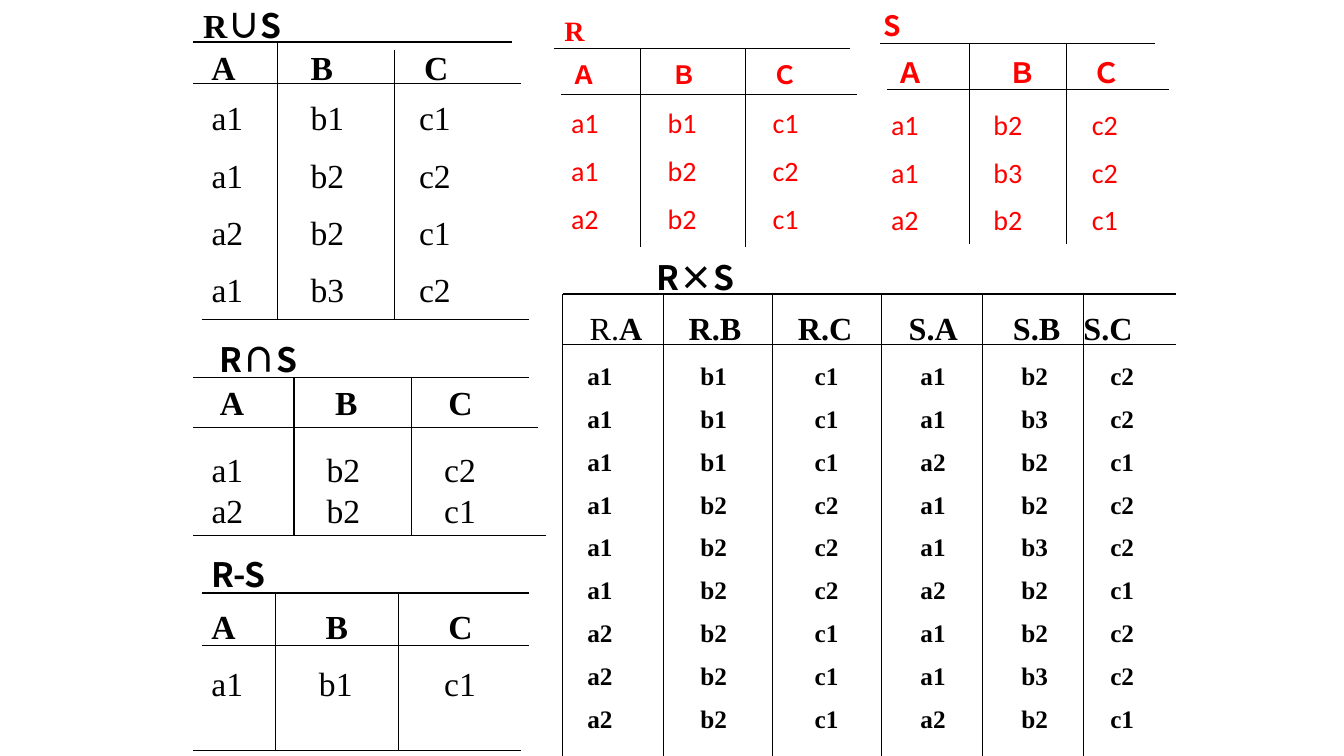
from itertools import product

from lxml.etree import SubElement
from pptx import Presentation
from pptx.dml.color import RGBColor
from pptx.enum.shapes import MSO_CONNECTOR
from pptx.enum.text import MSO_AUTO_SIZE
from pptx.oxml.ns import qn
from pptx.util import Inches, Pt

BLACK, RED = RGBColor(0, 0, 0), RGBColor(255, 0, 0)
SERIF, SANS, CJK = "Times New Roman", "Calibri", "Noto Sans CJK SC"
THEME = {
    "title": {"name": CJK, "size": Pt(24), "bold": True, "color": BLACK},
    "head": {"name": SERIF, "size": Pt(24), "bold": True, "color": BLACK},
    "body": {"name": SERIF, "size": Pt(24), "bold": False, "color": BLACK},
    "prefix": {"name": SERIF, "size": Pt(23), "bold": False, "color": BLACK},
    "product head": {"name": SERIF, "size": Pt(23), "bold": True, "color": BLACK},
    "product body": {"name": SERIF, "size": Pt(18), "bold": True, "color": BLACK},
    "red R": {"name": SERIF, "size": Pt(20), "bold": True, "color": RED},
    "red S": {"name": CJK, "size": Pt(20), "bold": True, "color": RED},
    "red head R": {"name": SERIF, "size": Pt(18), "bold": True, "color": RED},
    "red head S": {"name": SERIF, "size": Pt(20), "bold": True, "color": RED},
    "red body": {"name": SANS, "size": Pt(20), "bold": False, "color": RED},
}
RULE_WIDTH = Pt(0.75)

deck = Presentation()
deck.slide_width, deck.slide_height = Inches(13.333), Inches(7.5)
page = deck.slides.add_slide(deck.slide_layouts[6])
COLUMN, ROW = deck.slide_width / 160, deck.slide_height / 90


def add_rule(x1, y1, x2, y2):
    rule = page.shapes.add_connector(
        MSO_CONNECTOR.STRAIGHT,
        round(x1 * COLUMN), round(y1 * ROW), round(x2 * COLUMN), round(y2 * ROW))
    rule.line.width = RULE_WIDTH
    rule.line.color.rgb = BLACK
    SubElement(rule.element.spPr, qn("a:effectLst"))


def add_text(place, paragraphs, gap=50):
    left, top, width, height = place
    box = page.shapes.add_textbox(
        round(left * COLUMN), round(top * ROW), round(width * COLUMN), round(height * ROW))
    frame = box.text_frame
    frame.word_wrap = True
    frame.auto_size = MSO_AUTO_SIZE.SHAPE_TO_FIT_TEXT
    for index, (tabs, spans) in enumerate(paragraphs):
        para = frame.add_paragraph() if index else frame.paragraphs[0]
        settings = para._p.get_or_add_pPr()
        before = SubElement(settings, qn("a:spcBef"))
        SubElement(before, qn("a:spcPct"), val=str(gap * 1000))
        if tabs:
            stops = SubElement(settings, qn("a:tabLst"))
            for tab in tabs:
                SubElement(stops, qn("a:tab"), pos=str(round(tab * COLUMN)), algn="l")
        for style, text in spans:
            span = para.add_run()
            span.text = text
            for key, value in THEME[style].items():
                if key == "color":
                    span.font.color.rgb = value
                else:
                    setattr(span.font, key, value)
            SubElement(span.font._element, qn("a:ea"), typeface=CJK)


relation_r = ["a1\tb1\tc1", "a1\tb2\tc2", "a2\tb2\tc1"]
relation_s = ["a1\tb2\tc2", "a1\tb3\tc2", "a2\tb2\tc1"]
union = relation_r + [entry for entry in relation_s if entry not in relation_r]
common = [entry for entry in relation_r if entry in relation_s]
difference = [entry for entry in relation_r if entry not in relation_s]
pairs = [f" {first}\t{second}" for first, second in product(relation_r, relation_s)]

rules = [
    (23, 5, 61, 5), (23, 10, 62, 10), (24, 38, 63, 38), (33, 5, 33, 38), (47, 6, 47, 38),
    (23, 44.9, 63, 44.9), (23, 50.9, 64, 50.9), (23, 63.8, 65, 63.8),
    (24, 70.6, 63, 70.6), (24, 76.8, 63, 76.8), (23, 89.3, 62, 89.3),
    (67, 35, 140, 35), (67, 41, 140, 41),
    (66, 5.8, 101.2, 5.8), (66.8, 11.3, 102, 11.3),
    (104.8, 5.2, 137.5, 5.2), (105.6, 10.7, 139.2, 10.7),
]
dividers = [
    ((35, 49), 44.9, 63.8),
    ((32.8, 47.4), 70.6, 89.3),
    ((67, 79, 92, 105, 117, 129), 35, 90),
    ((76.2, 88.7), 5.8, 29.4),
    ((115.4, 127), 5.2, 29),
]
for rule_ends in rules:
    add_rule(*rule_ends)
for positions, top, bottom in dividers:
    for x in positions:
        add_rule(x, top, x, bottom)

titles = [
    ((23, 0, 28, 6), [("head", "R"), ("title", "∪S")]),
    ((25, 39.8, 20, 6), [("title", "R∩S")]),
    ((24, 65.3, 34.2, 6), [("title", "R-S")]),
    ((77, 30, 19, 6), [("title", "R×S")]),
    ((66, 1, 22, 5.2), [("red R", "R")]),
    ((104, 0.4, 22.9, 5.2), [("red S", "S")]),
]
for place, spans in titles:
    add_text(place, [((), spans)])

headers = [
    ((24, 5, 36, 6), (11.8, 25.3), "head", "A\tB\tC"),
    ((25, 44.9, 37, 6), (13.7, 27.2), "head", "A\tB\tC"),
    ((66.8, 6.5, 32, 4.8), (12, 24), "red head R", "Ａ\tＢ\tＣ"),
    ((105.6, 6, 34.3, 5.2), (13.3, 23.3), "red head S", "Ａ\tＢ\tＣ"),
]
for place, tabs, style, text in headers:
    add_text(place, [(tabs, [(style, text)])])

bodies = [
    ((24, 11, 38, 27.8), (11.8, 24.7), "body", union, 50),
    ((24, 52.9, 38.2, 10.9), (13.7, 27.7), "body", common, 0),
    ((66.8, 12, 34.4, 17.2), (11.5, 24), "red body", relation_r, 50),
    ((104.9, 12.2, 34.3, 17.2), (12.2, 23.9), "red body", relation_s, 50),
]
for place, tabs, style, entries, gap in bodies:
    add_text(place, [(tabs, [(style, entry)]) for entry in entries], gap)

add_text((24, 71.5, 40.1, 13.2), [
    ((13.6, 28.2), [("head", "A\tB\tC")]),
    *[((12.8, 27.7), [("body", entry)]) for entry in difference],
])
add_text((68, 36, 69, 55.1), [
    ((12.8, 25.8, 39, 51.4, 59.8), [
        ("body", " "), ("prefix", "R."), ("product head", "A\tR.B\tR.C\tS.A\tS.B\tS.C")]),
    *[((14.2, 27.8, 40.4, 52.4, 63), [("product body", entry)]) for entry in pairs],
])

deck.save("out.pptx")
